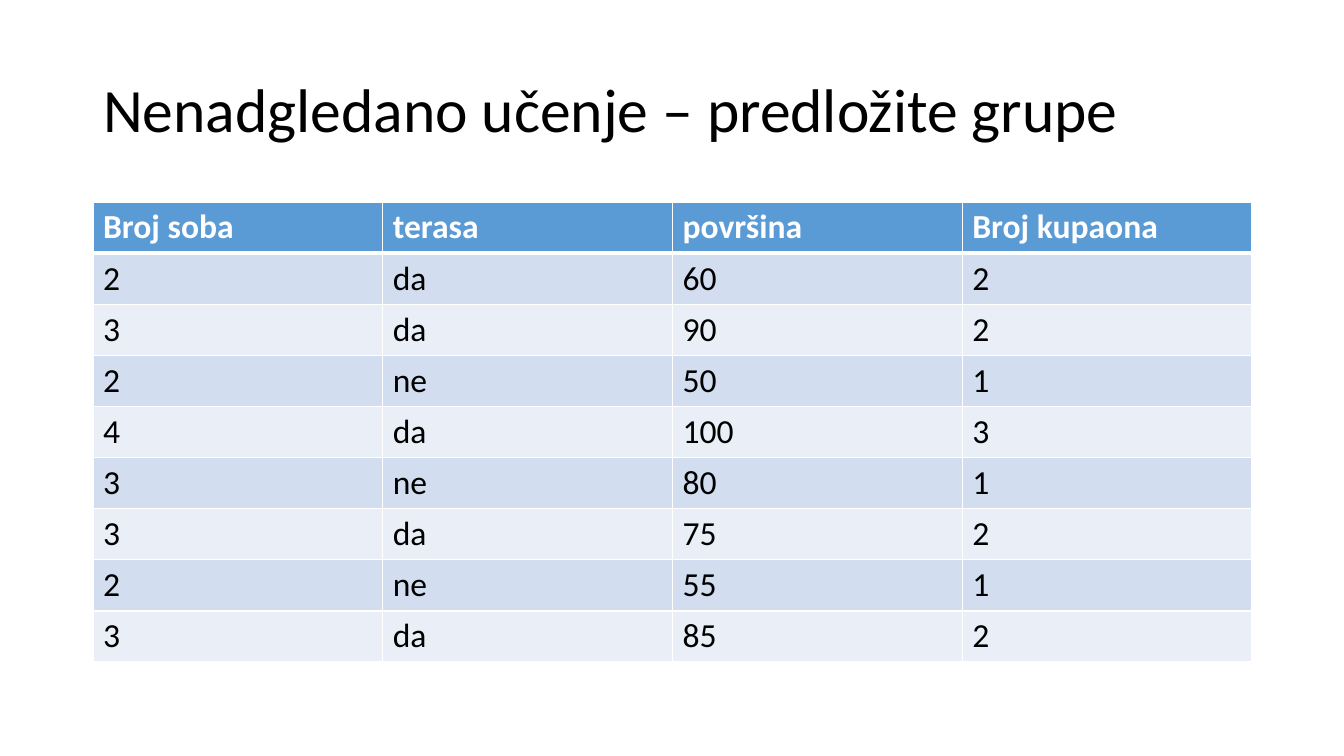
from lxml.etree import SubElement
from pptx import Presentation
from pptx.dml.color import RGBColor
from pptx.enum.text import MSO_ANCHOR, MSO_AUTO_SIZE, PP_ALIGN
from pptx.oxml.ns import qn
from pptx.util import Emu, Pt

EMU_PER_PX = 914400 / 100.8
TITLE_ONLY_LAYOUT = 5
TITLE_BOX = (93, 40, 1159, 146)
TABLE_BOX = (93, 202, 1159, 459)
HEADER_FILL = "5B9BD5"
BAND_FILLS = ("D2DEEF", "EAEFF7")
WHITE, BLACK = "FFFFFF", "000000"

TITLE = "Nenadgledano učenje – predložite grupe"
APARTMENTS = [
    ("Broj soba", "terasa", "površina", "Broj kupaona"),
    ("2", "da", "60", "2"),
    ("3", "da", "90", "2"),
    ("2", "ne", "50", "1"),
    ("4", "da", "100", "3"),
    ("3", "ne", "80", "1"),
    ("3", "da", "75", "2"),
    ("2", "ne", "55", "1"),
    ("3", "da", "85", "2"),
]


def px(length):
    return Emu(round(length * EMU_PER_PX))


def color(value):
    return RGBColor.from_string(value)


def format_font(font, text_color, **values):
    for name, value in {"name": "Calibri", **values}.items():
        setattr(font, name, value)
    font.color.rgb = color(text_color)


def add_title(slide, box):
    title = slide.shapes.title
    for name, length in zip(("left", "top", "width", "height"), box):
        setattr(title, name, px(length))
    frame = title.text_frame
    frame.text = TITLE
    frame_format = {
        "auto_size": MSO_AUTO_SIZE.NONE,
        "vertical_anchor": MSO_ANCHOR.MIDDLE,
        "word_wrap": True,
    }
    for name, value in frame_format.items():
        setattr(frame, name, value)
    para = frame.paragraphs[0]
    para.alignment = PP_ALIGN.LEFT
    para.line_spacing = 0.9
    format_font(para.runs[0].font, BLACK, size=Pt(44), bold=False)


def add_borders(cell, widths):
    """Draw white cell borders; widths maps each side to points."""
    properties = cell._tc.get_or_add_tcPr()
    for side, width in widths.items():
        line = SubElement(properties, qn(f"a:ln{side}"), w=str(Pt(width)))
        fill = SubElement(line, qn("a:solidFill"))
        SubElement(fill, qn("a:srgbClr"), val=WHITE)


def format_cell(cell, text, row_index):
    is_header = row_index == 0
    add_borders(cell, {
        "L": 1,
        "R": 1,
        "T": 3 if row_index == 1 else 1,
        "B": 3 if is_header else 1,
    })
    cell.fill.solid()
    fill = HEADER_FILL if is_header else BAND_FILLS[(row_index - 1) % 2]
    cell.fill.fore_color.rgb = color(fill)
    cell.text = text
    span = cell.text_frame.paragraphs[0].runs[0]
    format_font(span.font, WHITE if is_header else BLACK,
                size=Pt(24), bold=is_header)


def add_apartment_table(slide, box):
    row_count, column_count = len(APARTMENTS), len(APARTMENTS[0])
    table = slide.shapes.add_table(
        row_count, column_count, *(px(length) for length in box)).table
    for row_index, values in enumerate(APARTMENTS):
        for column_index, text in enumerate(values):
            format_cell(table.cell(row_index, column_index), text, row_index)


def main():
    deck = Presentation()
    deck.slide_width, deck.slide_height = px(1344), px(756)
    slide = deck.slides.add_slide(deck.slide_layouts[TITLE_ONLY_LAYOUT])
    add_title(slide, TITLE_BOX)
    add_apartment_table(slide, TABLE_BOX)
    deck.save("out.pptx")


if __name__ == "__main__":
    main()
